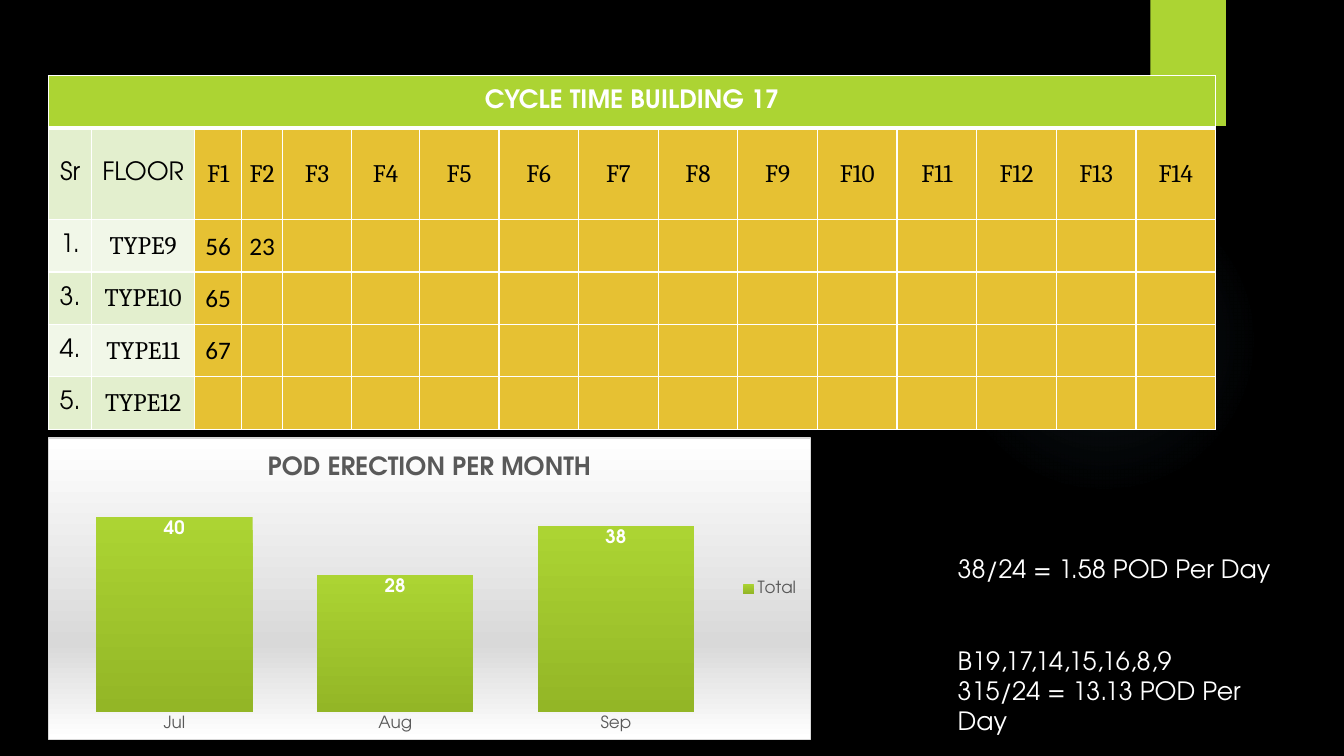
"""Builds the cycle time slide: floor table, monthly pod chart and daily rates."""
import pptx
import pptx.chart.data
import pptx.dml.color
import pptx.enum.chart
import pptx.enum.shapes
import pptx.enum.text
import pptx.oxml
import pptx.oxml.ns
import pptx.util

SANS, SERIF, DIGITS = "TeX Gyre Adventor", "Cambria", "Calibri"
WHITE, BLACK, GREY, GREEN, GOLD = "FFFFFF", "000000", "595959", "ACD433", "E6C133"
BANDS = ["F1F7E8", "E3EFCE"]

HEADING = "CYCLE TIME BUILDING 17"
FLOORS = ["Sr ", "FLOOR"] + [f"F{number}" for number in range(1, 15)]
TYPES = [
    ["1.", "TYPE9", "56", "23"],
    ["3.", "TYPE10", "65"],
    ["4.", "TYPE11", "67"],
    ["5.", "TYPE12"],
]
COLUMNS = [0.43, 1.02, 0.47, 0.4, 0.69, 0.67] + [0.79] * 10
ROWS = [0.52, 0.91] + [0.52] * 4
CHART_TITLE = "POD ERECTION PER MONTH"
SERIES = "Total"
PODS = {"Jul": 40, "Aug": 28, "Sep": 38}
PLOT = {"x": 0.02, "y": 0.18, "w": 0.87, "h": 0.73}
RATES = [
    (5.44, 0.4, ["38/24 = 1.58 POD Per Day"]),
    (6.35, 1.01, ["B19,17,14,15,16,8,9", "315/24 = 13.13 POD Per Day"]),
]
LEFT, TABLE_TOP, CHART_TOP, RATES_LEFT = 0.48, 0.75, 4.34, 9.4

inch = pptx.util.Inches
qn = pptx.oxml.ns.qn
NAMESPACES = pptx.oxml.ns.nsdecls("a", "c")


def color(value):
    return pptx.dml.color.RGBColor.from_string(value)


def style(font, size, shade, face=SANS, bold=False):
    font.size, font.name, font.bold = pptx.util.Pt(size), face, bold
    font.color.rgb = color(shade)


def xml(tag, body):
    name = tag.split()[0]
    return pptx.oxml.parse_xml(f"<{tag} {NAMESPACES}>{body}</{name}>")


def gradient(stops, direction):
    listed = "".join(
        f'<a:gs pos="{place * 1000}"><a:srgbClr val="{shade}">'
        f'<a:alpha val="{alpha * 1000}"/></a:srgbClr></a:gs>'
        for place, shade, alpha in stops
    )
    return xml("a:gradFill", f"<a:gsLst>{listed}</a:gsLst>{direction}")


def fill_gradient(owner, properties, stops, direction):
    owner.fill.background()
    blank = properties.find(qn("a:noFill"))
    properties.replace(blank, gradient(stops, direction))


def add_plain(slide, kind, box):
    shape = slide.shapes.add_shape(kind, *map(inch, box))
    shape.shadow.inherit = False
    shape.line.fill.background()
    return shape


def add_backdrop(slide):
    shapes = pptx.enum.shapes.MSO_SHAPE
    glow = add_plain(slide, shapes.OVAL, (9.41, 1.83, 3.08, 3.08))
    center = '<a:path path="circle"><a:fillToRect l="50000" t="50000" r="50000" b="50000"/></a:path>'
    fill_gradient(glow, glow.element.spPr,
                  [(0, "7AC4F0", 7), (36, "7AC4F0", 6), (69, "7AC4F0", 0)], center)
    ribbon = add_plain(slide, shapes.RECTANGLE, (11.41, 0, 0.75, 1.25))
    ribbon.fill.solid()
    ribbon.fill.fore_color.rgb = color(GREEN)
    ribbon.element.spPr.find(qn("a:effectLst")).append(xml(
        'a:outerShdw blurRad="38100" dist="25400" dir="5400000" rotWithShape="0"',
        '<a:srgbClr val="000000"><a:alpha val="45000"/></a:srgbClr>'))


def border(cell, row):
    weights = {"L": 1, "R": 1, "T": 3 if row == 1 else 1, "B": 3 if row == 0 else 1}
    properties = cell._tc.get_or_add_tcPr()
    for place, (side, weight) in enumerate(weights.items()):
        properties.insert(place, xml(
            f'a:ln{side} w="{weight * 12700}"',
            f'<a:solidFill><a:srgbClr val="{WHITE}"/></a:solidFill>'))


def face_of(row, column):
    if row == 0 or column == 0 or (row == 1 and column == 1):
        return SANS
    return SERIF if row == 1 or column == 1 else DIGITS


def add_cycle_table(slide):
    grid = [[HEADING], FLOORS] + TYPES
    table = slide.shapes.add_table(
        len(ROWS), len(COLUMNS), inch(LEFT), inch(TABLE_TOP),
        inch(sum(COLUMNS)), inch(sum(ROWS))).table
    for column, width in zip(table.columns, COLUMNS):
        column.width = inch(width)
    for row, height in enumerate(ROWS):
        table.rows[row].height = inch(height)
        for column in range(len(COLUMNS)):
            cell = table.cell(row, column)
            cell.text = grid[row][column] if column < len(grid[row]) else ""
            cell.vertical_anchor = pptx.enum.text.MSO_ANCHOR.MIDDLE
            face = face_of(row, column)
            if face != SANS:
                cell.margin_left = cell.margin_right = cell.margin_top = inch(0.01)
                cell.margin_bottom = 0
            paragraph = cell.text_frame.paragraphs[0]
            paragraph.alignment = pptx.enum.text.PP_ALIGN.CENTER
            for run in paragraph.runs:
                style(run.font, 18, BLACK if row else WHITE, face, row == 0)
            cell.fill.solid()
            band = BANDS[row % 2] if column < 2 else GOLD
            cell.fill.fore_color.rgb = color(band if row else GREEN)
            border(cell, row)
    table.cell(0, 0).merge(table.cell(0, len(COLUMNS) - 1))


def add_pod_chart(slide):
    kinds = pptx.enum.chart
    downward = '<a:lin ang="5400000" scaled="0"/>'
    data = pptx.chart.data.CategoryChartData()
    data.categories = list(PODS)
    data.add_series(SERIES, list(PODS.values()))
    chart = slide.shapes.add_chart(
        kinds.XL_CHART_TYPE.COLUMN_CLUSTERED,
        *map(inch, (LEFT, CHART_TOP, 7.56, 3)), data).chart
    style(chart.font, 10, WHITE)
    chart.has_title = True
    chart.chart_title.text_frame.text = CHART_TITLE
    style(chart.chart_title.text_frame.paragraphs[0].runs[0].font, 18, GREY, bold=True)
    chart.has_legend = True
    chart.legend.position = kinds.XL_LEGEND_POSITION.RIGHT
    chart.legend.include_in_layout = False
    style(chart.legend.font, 12, GREY)

    months, counts = chart.category_axis, chart.value_axis
    months.major_tick_mark = kinds.XL_TICK_MARK.NONE
    months.format.line.fill.background()
    style(months.tick_labels.font, 12, GREY)
    counts.minimum_scale, counts.maximum_scale = 0, 45
    counts.has_major_gridlines = counts.visible = False

    plot = chart.plots[0]
    plot.gap_width, plot.vary_by_categories = 41, False
    pods = plot.series[0]
    fill_gradient(pods.format, pods._element.get_or_add_spPr(),
                  [(0, GREEN, 100), (100, "93B626", 100)], downward)
    labels = pods.data_labels
    labels.show_value = True
    labels.position = kinds.XL_LABEL_POSITION.INSIDE_END
    style(labels.font, 13.3, WHITE, bold=True)

    space = chart._chartSpace
    area = xml("c:spPr", '<a:ln w="9525"><a:solidFill><a:srgbClr val="D9D9D9"/></a:solidFill></a:ln>')
    area.insert(0, gradient([(0, WHITE, 100), (68, "D9D9D9", 100), (100, WHITE, 100)], downward))
    space.find(qn("c:chart")).addnext(area)
    plot_area = space.find(qn("c:chart")).find(qn("c:plotArea"))
    for automatic in plot_area.findall(qn("c:layout")):
        plot_area.remove(automatic)
    shares = "".join(f'<c:{key} val="{share}"/>' for key, share in PLOT.items())
    plot_area.insert(0, xml("c:layout", '<c:manualLayout><c:layoutTarget val="inner"/>'
                            '<c:xMode val="edge"/><c:yMode val="edge"/>'
                            f"{shares}</c:manualLayout>"))


def add_rates(slide):
    for top, height, lines in RATES:
        frame = slide.shapes.add_textbox(
            *map(inch, (RATES_LEFT, top, 3.45, height))).text_frame
        frame.word_wrap = True
        frame.auto_size = pptx.enum.text.MSO_AUTO_SIZE.SHAPE_TO_FIT_TEXT
        frame.text = "\n".join(lines)
        for paragraph in frame.paragraphs:
            style(paragraph.runs[0].font, 18, WHITE)


def main():
    deck = pptx.Presentation()
    deck.slide_width, deck.slide_height = inch(13.33), inch(7.5)
    slide = deck.slides.add_slide(deck.slide_layouts[6])
    slide.background.fill.solid()
    slide.background.fill.fore_color.rgb = color(BLACK)
    add_backdrop(slide)
    add_cycle_table(slide)
    add_pod_chart(slide)
    add_rates(slide)
    deck.save("out.pptx")


if __name__ == "__main__":
    main()
